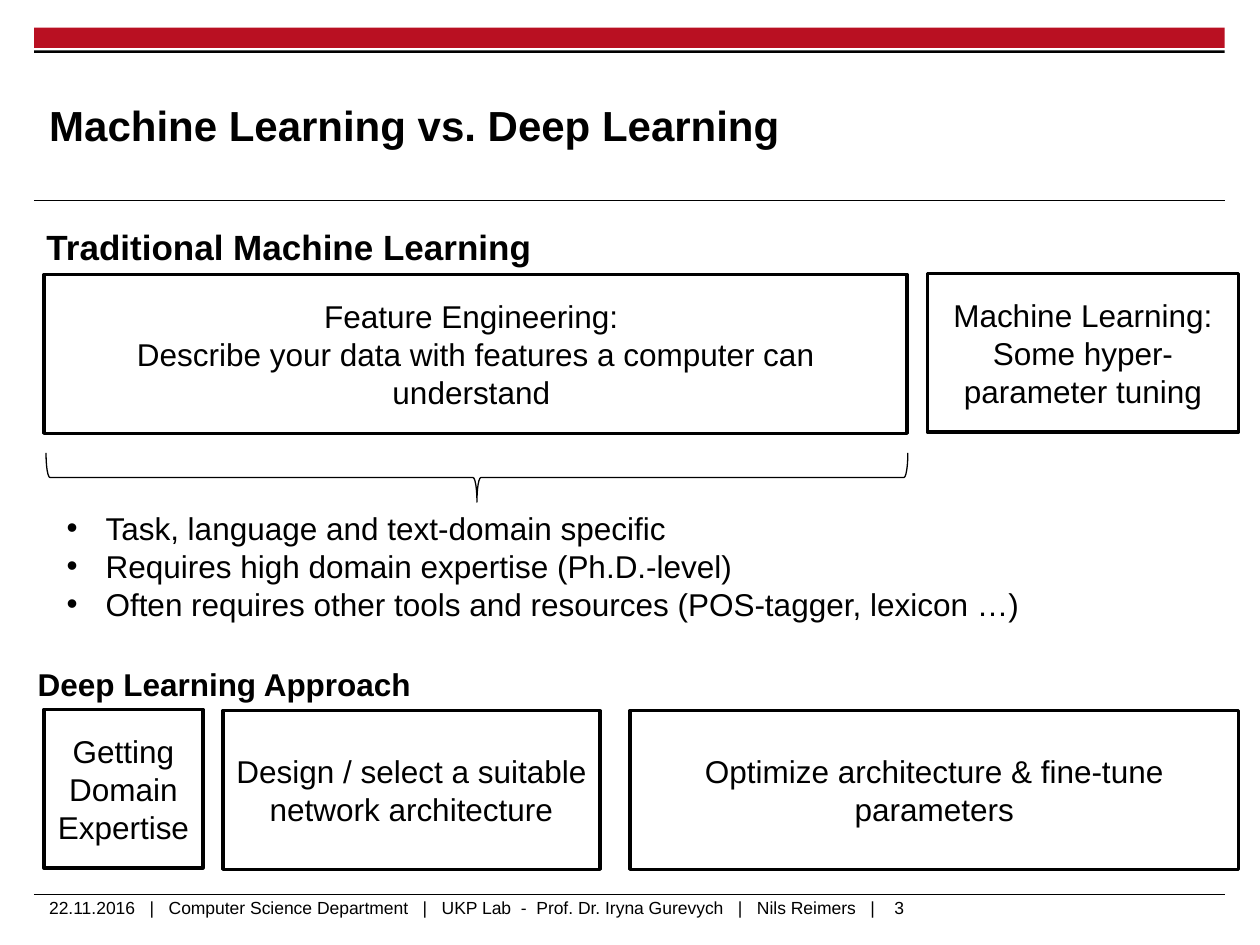
from dataclasses import dataclass

from lxml.etree import SubElement
from pptx import Presentation
from pptx.dml.color import RGBColor
from pptx.enum.shapes import MSO_CONNECTOR, MSO_SHAPE
from pptx.enum.text import MSO_ANCHOR, PP_ALIGN
from pptx.oxml.ns import qn
from pptx.util import Inches, Pt


@dataclass(frozen=True)
class Theme:
    font: str = "Arial"
    red: RGBColor = RGBColor(0xB9, 0x10, 0x22)
    black: RGBColor = RGBColor(0, 0, 0)
    white: RGBColor = RGBColor(255, 255, 255)
    title: int = 24
    heading: int = 20
    body: int = 18
    footer: int = 10


theme = Theme()


def write(shape, text, size=theme.body, bold=False, align=PP_ALIGN.LEFT,
          anchor=MSO_ANCHOR.TOP, inset=True, wrap=True, bullet=False):
    """Fill a shape with text: \\n starts a paragraph, \\v breaks a line."""
    frame = shape.text_frame
    frame.word_wrap = wrap
    frame.vertical_anchor = anchor
    if not inset:
        frame.margin_left = frame.margin_right = 0
        frame.margin_top = frame.margin_bottom = 0
    frame.text = text
    for paragraph in frame.paragraphs:
        paragraph.alignment = align
        for run in paragraph.runs:
            run.font.name = theme.font
            run.font.size = Pt(size)
            run.font.bold = bold
            run.font.color.rgb = theme.black
        if bullet:
            properties = paragraph._p.get_or_add_pPr()
            properties.set("marL", str(Inches(0.31)))
            properties.set("indent", str(-Inches(0.31)))
            SubElement(properties, qn("a:buFont")).set("typeface", theme.font)
            SubElement(properties, qn("a:buChar")).set("char", "•")


presentation = Presentation()
presentation.slide_width = Inches(10)
presentation.slide_height = Inches(7.5)
slide = presentation.slides.add_slide(presentation.slide_layouts[6])
shapes = slide.shapes

# Header bars
for top, height, color in ((0.22, 0.16, theme.red), (0.4, 0.02, theme.black)):
    bar = shapes.add_shape(MSO_SHAPE.RECTANGLE, Inches(0.27), Inches(top),
                           Inches(9.45), Inches(height))
    bar.shadow.inherit = False
    bar.fill.solid()
    bar.fill.fore_color.rgb = color
    bar.line.fill.background()

# Rules under the title and above the footer
for top in (1.59, 7.1):
    rule = shapes.add_connector(MSO_CONNECTOR.STRAIGHT, Inches(0.27), Inches(top),
                                Inches(9.72), Inches(top))
    rule.line.color.rgb = theme.black
    rule.line.width = Pt(0.6)
    SubElement(rule._element.spPr, qn("a:effectLst"))

# Title, headings, bullet list and footer
bullets = "\n".join((
    "Task, language and text-domain specific",
    "Requires high domain expertise (Ph.D.-level)",
    "Often requires other tools and resources (POS-tagger, lexicon …)",
))
footer = ("22.11.2016   |   Computer Science Department   |   "
          "UKP Lab  -  Prof. Dr. Iryna Gurevych   |   Nils Reimers   |")
texts = (
    (0.39, 0.53, 7.52, 0.92, "Machine Learning vs. Deep Learning",
     dict(size=theme.title, bold=True, anchor=MSO_ANCHOR.MIDDLE, inset=False)),
    (0.27, 1.74, 9.45, 0.42, "Traditional Machine Learning",
     dict(size=theme.heading, bold=True)),
    (0.43, 3.99, 9.4, 1.01, bullets, dict(bullet=True)),
    (0.2, 5.23, 5.98, 0.4, "Deep Learning Approach", dict(bold=True)),
    (0.39, 7.12, 8.7, 0.25, footer, dict(size=theme.footer, inset=False)),
    (7, 7.07, 0.48, 0.27, "3", dict(size=theme.footer, wrap=False)),
)
for left, top, width, height, text, text_format in texts:
    text_box = shapes.add_textbox(Inches(left), Inches(top),
                                  Inches(width), Inches(height))
    write(text_box, text, **text_format)

# Step boxes of both approaches
steps = (
    (0.35, 2.18, 6.85, "Feature Engineering: \v"
     "Describe your data with features a computer can understand "),
    (7.36, 2.17, 2.47, "Machine Learning:\vSome hyper-parameter tuning"),
    (0.35, 5.63, 1.26, "Getting Domain Expertise"),
    (1.77, 5.64, 2.99, "Design / select a suitable network architecture"),
    (5, 5.64, 4.83, "Optimize architecture & fine-tune parameters"),
)
for left, top, width, text in steps:
    box = shapes.add_shape(MSO_SHAPE.RECTANGLE, Inches(left), Inches(top),
                           Inches(width), Inches(1.26))
    box.shadow.inherit = False
    box.fill.solid()
    box.fill.fore_color.rgb = theme.white
    box.line.color.rgb = theme.black
    box.line.width = Pt(2)
    write(box, text, align=PP_ALIGN.CENTER, anchor=MSO_ANCHOR.MIDDLE)

# Brace under the feature engineering box
brace = shapes.add_shape(MSO_SHAPE.RIGHT_BRACE, Inches(3.59), Inches(0.37),
                         Inches(0.39), Inches(6.84))
brace.rotation = 90
brace.adjustments[0] = 0.08
brace.adjustments[1] = 0.5
brace.shadow.inherit = False
brace.fill.background()
brace.line.color.rgb = theme.black
brace.line.width = Pt(0.75)

presentation.save("out.pptx")
